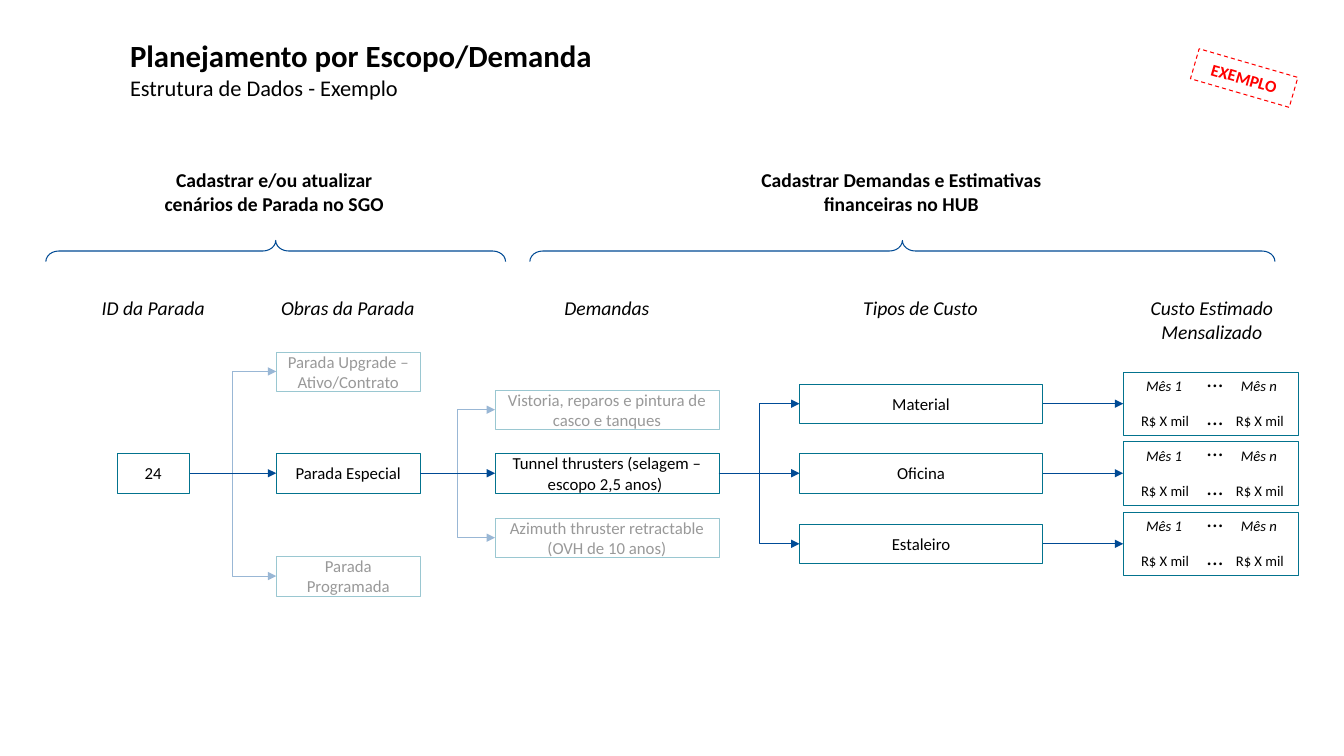
"""Builds the slide on planning by scope and demand."""
from lxml import etree
from pptx import Presentation
from pptx.dml.color import RGBColor
from pptx.enum.dml import MSO_LINE
from pptx.enum.shapes import MSO_CONNECTOR, MSO_SHAPE
from pptx.enum.text import MSO_ANCHOR, MSO_AUTO_SIZE, PP_ALIGN
from pptx.oxml.ns import qn
from pptx.util import Inches, Pt

RECT, BRACE = MSO_SHAPE.RECTANGLE, MSO_SHAPE.RIGHT_BRACE
BENT, FLAT = MSO_CONNECTOR.ELBOW, MSO_CONNECTOR.STRAIGHT
CENTER, LEFT = PP_ALIGN.CENTER, PP_ALIGN.LEFT
MIDDLE, TOP = MSO_ANCHOR.MIDDLE, MSO_ANCHOR.TOP
NONE, DASH = MSO_AUTO_SIZE.NONE, MSO_LINE.DASH

FONT = "Calibri"
BLACK, WHITE, RED = "000000", "FFFFFF", "FF0000"
TEAL, BLUE, NAVY = "03738E", "004A94", "004C97"

TITLE = [("Planejamento por Escopo/Demanda", 22, True),
         ("Estrutura de Dados - Exemplo", 16, False)]
STEPS = [("Cadastrar e/ou atualizar cenários de Parada no SGO", 1.48, 2.48),
         ("Cadastrar Demandas e Estimativas financeiras no HUB", 7.44, 3)]
SPANS = [(0.45, 4.56), (5.25, 7.39)]
HEADS = [("ID da Parada", 0.82, 1.4), ("Obras da Parada", 2.68, 1.54),
         ("Demandas", 5.17, 1.7), ("Tipos de Custo", 8.36, 1.54),
         ("Custo Estimado Mensalizado", 10.89, 2.26)]
COLS = {"id": (1.16, 0.72), "work": (2.74, 1.43),
        "need": (4.91, 2.22), "cost": (7.93, 2.41)}
BOXES = {
    "stop": ("24", "id", 4.5),
    "upgrade": ("Parada Upgrade – Ativo/Contrato", "work", 3.49),
    "special": ("Parada Especial", "work", 4.5),
    "planned": ("Parada Programada", "work", 5.52),
    "survey": ("Vistoria, reparos e pintura de casco e tanques", "need", 3.87),
    "tunnel": ("Tunnel thrusters (selagem – escopo 2,5 anos) ", "need", 4.5),
    "azimuth": ("Azimuth thruster retractable (OVH de 10 anos)", "need", 5.14),
    "goods": ("Material", "cost", 3.81),
    "shop": ("Oficina", "cost", 4.5),
    "yard": ("Estaleiro", "cost", 5.2),
}
FADED = ["planned", "upgrade", "survey", "azimuth"]
CLEAR = ["stop", "shop", "goods", "yard", "tunnel"]
PALE = [("stop", "upgrade"), ("stop", "planned"),
        ("special", "survey"), ("special", "azimuth")]
FORKS = [("tunnel", "goods"), ("tunnel", "yard")]
CHAIN = ["stop", "special", "tunnel", "shop"]
VEILS = [(2.19, 3.29, 2.31, 2.79), (4.2, 3.35, 5.54, 2.61)]
CELLS = [("Mês 1", 0.01, 0, True), ("R$ X mil", 0.02, 0.35, False),
         ("Mês n", 0.95, 0, True), ("R$ X mil", 0.96, 0.35, False)]
DOTS = [0.26, -0.12]
HIGH, MONTH_X, MONTH_W, MONTH_H = 0.39, 11.14, 1.74, 0.63

deck = Presentation()
deck.slide_width, deck.slide_height = Inches(13.33), Inches(7.5)
slide = deck.slides.add_slide(deck.slide_layouts[5])
made = {}


def color(code):
    return RGBColor.from_string(code)


def write(para, text, size, tint=BLACK, bold=False, italic=False):
    run = para.add_run()
    run.text = text
    font = run.font
    font.name, font.size = FONT, Pt(size)
    font.bold, font.italic = bold, italic
    font.color.rgb = color(tint)


def label(home, text, x, y, w, h, size, **style):
    frame = home.add_textbox(*map(Inches, (x, y, w, h))).text_frame
    frame.word_wrap, frame.vertical_anchor = True, TOP
    para = frame.paragraphs[0]
    para.alignment = CENTER
    write(para, text, size, **style)


def shape(home, kind, x, y, w, h, line=TEAL, width=0.25, fill=WHITE):
    item = home.add_shape(kind, *map(Inches, (x, y, w, h)))
    item.shadow.inherit = False
    if fill:
        item.fill.solid()
        item.fill.fore_color.rgb = color(fill)
    else:
        item.fill.background()
    item.line.color.rgb, item.line.width = color(line), Pt(width)
    return item


def fill_in(item, text, **style):
    frame = item.text_frame
    frame.word_wrap, frame.vertical_anchor = True, MIDDLE
    para = frame.paragraphs[0]
    para.alignment = CENTER
    write(para, text, 12, **style)


def box(name):
    text, col, y = BOXES[name]
    x, w = COLS[col]
    made[name] = shape(slide.shapes, RECT, x, y, w, HIGH)
    fill_in(made[name], text)


def veil(*area):
    item = shape(slide.shapes, RECT, *area, line=WHITE, width=2)
    tint = item.element.spPr.find(qn("a:solidFill"))[0]
    etree.SubElement(tint, qn("a:alpha")).set("val", "60000")


def arrow(kind, start, end, tint, width):
    item = slide.shapes.add_connector(kind, *map(Inches, start + end))
    item.line.color.rgb, item.line.width = color(tint), Pt(width)
    etree.SubElement(item.line._get_or_add_ln(), qn("a:tailEnd")).set("type", "triangle")
    etree.SubElement(item.element.spPr, qn("a:effectLst"))
    return item


def fork(a, b):
    x, w = COLS[BOXES[a][1]]
    start = (x + w, BOXES[a][2] + HIGH / 2)
    end = (COLS[BOXES[b][1]][0], BOXES[b][2] + HIGH / 2)
    arrow(BENT, start, end, NAVY, 0.5)


def join(a, b):
    start = (a.left + a.width, a.top + a.height // 2)
    end = (b.left, b.top + b.height // 2)
    item = arrow(FLAT, tuple(n / Inches(1) for n in start),
                 tuple(n / Inches(1) for n in end), BLUE, 0.75)
    item.begin_connect(a, 3)
    item.end_connect(b, 1)


def months(y):
    home = slide.shapes.add_group_shape().shapes
    card = shape(home, RECT, MONTH_X, y, MONTH_W, MONTH_H)
    for text, dx, dy, slant in CELLS:
        label(home, text, MONTH_X + dx, y + dy, 0.79, 0.28, 10.5, italic=slant)
    for dy in DOTS:
        label(home, "...", MONTH_X + 0.48, y + dy, 0.87, 0.37, 16, italic=True)
    return card


title = slide.shapes.title
title.left, title.top, title.width, title.height = map(Inches, (1.19, 0.33, 11.47, 0.71))
frame = title.text_frame
frame.auto_size, frame.word_wrap, frame.vertical_anchor = NONE, True, MIDDLE
para = frame.paragraphs[0]
para.alignment = LEFT
for n, (text, size, bold) in enumerate(TITLE):
    if n:
        para.add_line_break()
    write(para, text, size, bold=bold)

for name in FADED:
    box(name)
for pair in PALE:
    fork(*pair)
veil(*VEILS[0])
box("special")
veil(*VEILS[1])
for name in CLEAR:
    box(name)
for pair in FORKS:
    fork(*pair)
for a, b in zip(CHAIN, CHAIN[1:]):
    join(made[a], made[b])
for name in ("goods", "shop", "yard"):
    join(made[name], months(BOXES[name][2] + (HIGH - MONTH_H) / 2))

for text, x, w in HEADS:
    label(slide.shapes, text, x, 2.89, w, 0.34, 14, italic=True)
for text, x, w in STEPS:
    label(slide.shapes, text, x, 1.62, w, 0.57, 14, bold=True)
for x, w in SPANS:
    brace = shape(slide.shapes, BRACE, x + w / 2 - 0.1, 2.49 - w / 2, 0.21, w,
                  BLUE, 0.75, None)
    brace.rotation = 270
    brace.adjustments[0] = 0.61

stamp = shape(slide.shapes, RECT, 11.83, 0.62, 1.02, 0.31, RED, 0.75)
stamp.rotation = 16.2
stamp.line.dash_style = DASH
fill_in(stamp, "EXEMPLO", tint=RED, bold=True)

deck.save("out.pptx")
